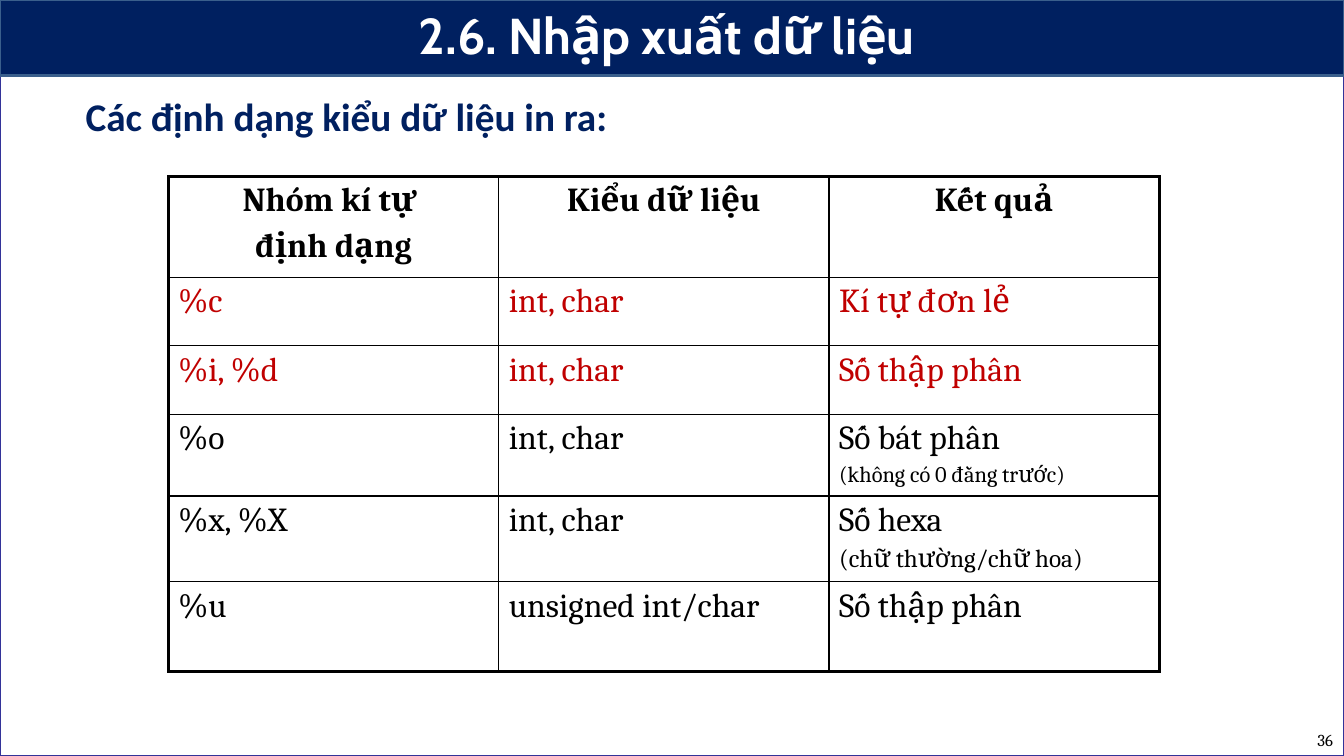
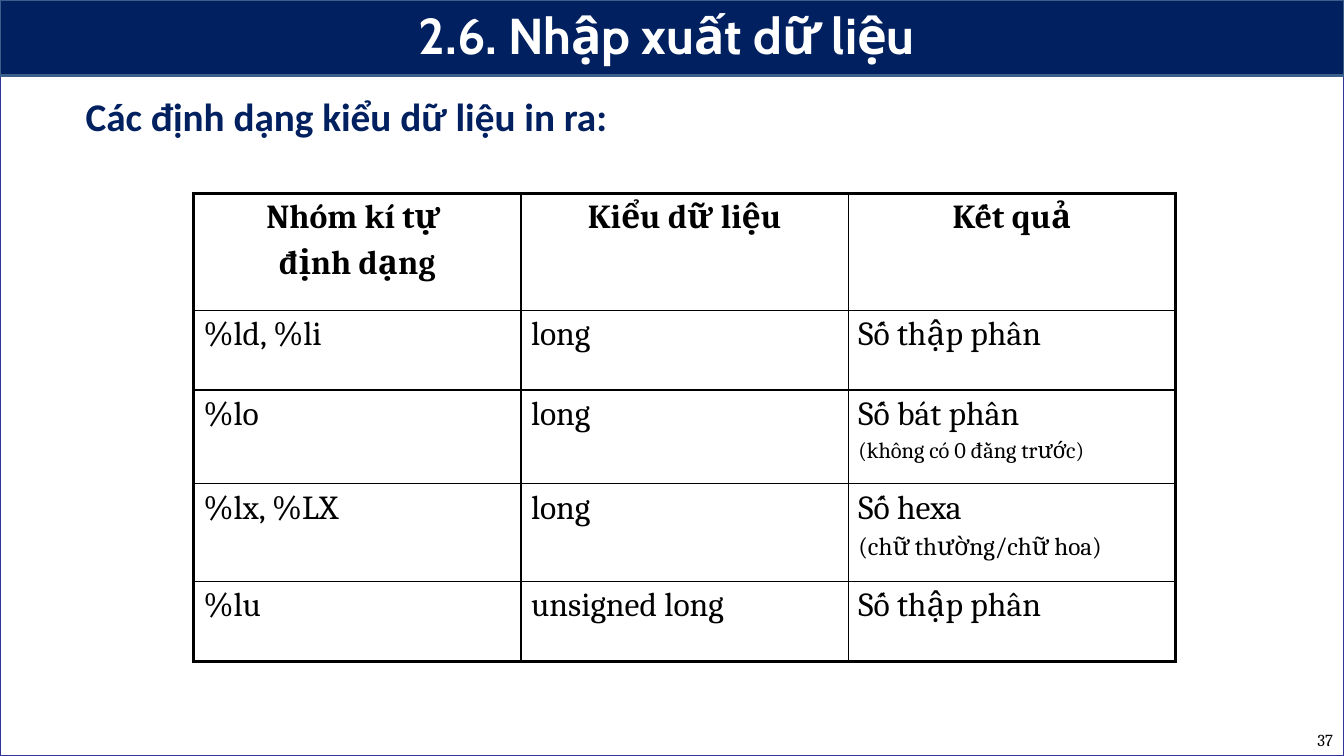
from dataclasses import dataclass

from lxml import etree
from pptx import Presentation
from pptx.dml.color import RGBColor
from pptx.enum.shapes import MSO_SHAPE
from pptx.enum.text import MSO_ANCHOR, PP_ALIGN
from pptx.oxml.ns import qn
from pptx.util import Inches, Pt

RECTANGLE = MSO_SHAPE.RECTANGLE
TOP, MIDDLE = MSO_ANCHOR.TOP, MSO_ANCHOR.MIDDLE
LEFT, CENTER, RIGHT = PP_ALIGN.LEFT, PP_ALIGN.CENTER, PP_ALIGN.RIGHT


@dataclass(frozen=True)
class Theme:
    """Colours, fonts, type sizes and line widths shared by the slides."""

    white: str = "FFFFFF"
    black: str = "000000"
    navy: str = "002060"
    red: str = "C00000"
    frame_line: str = "333399"
    band_line: str = "3A5F8C"
    title_font: str = "Cabin"
    heading_font: str = "Calibri"
    body_font: str = "Cambria"
    title_size: int = 36
    heading_size: int = 28
    table_size: int = 24
    number_size: int = 12
    shape_line: float = 2
    outer_line: float = 2.25
    inner_line: float = 1


THEME = Theme()
SLIDE_WIDTH, SLIDE_HEIGHT = 13.33, 7.5
BAND_HEIGHT = 0.75
TITLE = "2.6. Nhập xuất dữ liệu"
HEADING = "Các định dạng kiểu dữ liệu in ra:"

HEADER = (("Nhóm kí tự ", "định dạng"), ("Kiểu dữ liệu",), ("Kết quả",))
DECIMAL = ("Số thập phân",)
OCTAL = ("Số bát phân", ("(không có 0 đằng trước)", 16))
HEXADECIMAL = ("Số hexa", ("(chữ thường/chữ hoa)", 18))

SLIDES = [
    {
        "number": 36,
        "box": (1.67, 1.75, 9.83),
        "heights": (1, 0.68, 0.68, 0.8, 0.84, 0.89),
        "red_rows": (1, 2),
        "rows": [
            HEADER,
            (("%c",), ("int, char",), ("Kí tự đơn lẻ",)),
            (("%i, %d",), ("int, char",), DECIMAL),
            (("%o",), ("int, char",), OCTAL),
            (("%x, %X",), ("int, char",), HEXADECIMAL),
            (("%u",), ("unsigned int/char",), DECIMAL),
        ],
    },
    {
        "number": 37,
        "box": (1.92, 1.92, 9.74),
        "heights": (1.16, 0.79, 0.93, 0.97, 0.79),
        "red_rows": (),
        "rows": [
            HEADER,
            (("%ld, %li",), ("long",), DECIMAL),
            (("%lo",), ("long",), OCTAL),
            (("%lx, %LX",), ("long",), HEXADECIMAL),
            (("%lu",), ("unsigned long",), DECIMAL),
        ],
    },
]


def write_text(paragraph, text, *, size, font, color, bold=False, align=LEFT, before=0, after=0):
    """Write one formatted run into a paragraph."""
    paragraph.alignment = align
    paragraph.space_before = Pt(before)
    paragraph.space_after = Pt(after)
    run = paragraph.add_run()
    run.text = text
    run.font.size = Pt(size)
    run.font.name = font
    run.font.bold = bold
    run.font.color.rgb = RGBColor.from_string(color)


def add_text(slide, box, text, anchor=TOP, **text_format):
    """Add a wrapping text box with one paragraph."""
    shape = slide.shapes.add_textbox(*map(Inches, box))
    shape.text_frame.word_wrap = True
    shape.text_frame.vertical_anchor = anchor
    write_text(shape.text_frame.paragraphs[0], text, **text_format)


def add_panel(slide, box, fill, line):
    """Add a flat outlined rectangle."""
    shape = slide.shapes.add_shape(RECTANGLE, *map(Inches, box))
    shape.shadow.inherit = False
    shape.fill.solid()
    shape.fill.fore_color.rgb = RGBColor.from_string(fill)
    shape.line.color.rgb = RGBColor.from_string(line)
    shape.line.width = Pt(THEME.shape_line)


def add_frame(slide, number):
    """Add the background, title band, heading and slide number."""
    add_panel(slide, (0, 0, SLIDE_WIDTH, SLIDE_HEIGHT), THEME.white, THEME.frame_line)
    add_panel(slide, (0, 0, SLIDE_WIDTH, BAND_HEIGHT), THEME.navy, THEME.band_line)
    add_text(slide, (12.65, 7.17, 0.67, 0.33), str(number), MIDDLE, align=RIGHT,
             size=THEME.number_size, font=THEME.body_font, color=THEME.black)
    add_text(slide, (0, -0.03, 13.23, BAND_HEIGHT), TITLE, MIDDLE, align=CENTER, bold=True,
             size=THEME.title_size, font=THEME.title_font, color=THEME.white)
    add_text(slide, (0.75, 0.87, 6.68, 0.57), HEADING, bold=True, after=6,
             size=THEME.heading_size, font=THEME.heading_font, color=THEME.navy)


def set_borders(cell, outer_sides):
    """Draw thick lines on the outer sides of a cell and thin ones elsewhere."""
    properties = cell._tc.get_or_add_tcPr()
    for side in "LRTB":
        width = THEME.outer_line if side in outer_sides else THEME.inner_line
        line = etree.SubElement(properties, qn(f"a:ln{side}"), w=str(Pt(width)))
        fill = etree.SubElement(line, qn("a:solidFill"))
        etree.SubElement(fill, qn("a:srgbClr"), val=THEME.black)


def fill_cell(cell, lines, **text_format):
    """Write the lines of a cell, spaced by a fifth of their type size."""
    frame = cell.text_frame
    for index, line in enumerate(lines):
        text, size = (line, THEME.table_size) if isinstance(line, str) else line
        paragraph = frame.add_paragraph() if index else frame.paragraphs[0]
        write_text(paragraph, text, size=size, font=THEME.body_font,
                   before=size * 0.2 if index else 0, **text_format)


def add_format_table(slide, box, heights, rows, red_rows):
    """Add the table of format specifiers in equal columns."""
    left, top, width = box
    column_count = len(HEADER)
    table = slide.shapes.add_table(len(rows), column_count, Inches(left), Inches(top),
                                   Inches(width), Inches(sum(heights))).table
    table.first_row = False
    table.horz_banding = False
    for column in table.columns:
        column.width = Inches(width / column_count)
    for row_index, (row, height) in enumerate(zip(rows, heights)):
        table.rows[row_index].height = Inches(height)
        is_header = row_index == 0
        for column_index, lines in enumerate(row):
            cell = table.cell(row_index, column_index)
            edges = {"L": column_index == 0, "R": column_index == column_count - 1,
                     "T": is_header, "B": row_index == len(rows) - 1}
            set_borders(cell, [side for side, is_outer in edges.items() if is_outer])
            cell.fill.background()
            fill_cell(cell, lines, bold=is_header, align=CENTER if is_header else LEFT,
                      color=THEME.red if row_index in red_rows else THEME.black)


def main():
    """Build and save the presentation."""
    presentation = Presentation()
    presentation.slide_width = Inches(SLIDE_WIDTH)
    presentation.slide_height = Inches(SLIDE_HEIGHT)
    blank_layout = presentation.slide_layouts[6]
    for content in SLIDES:
        slide = presentation.slides.add_slide(blank_layout)
        add_frame(slide, content["number"])
        add_format_table(slide, content["box"], content["heights"],
                         content["rows"], content["red_rows"])
    presentation.save("out.pptx")


if __name__ == "__main__":
    main()
